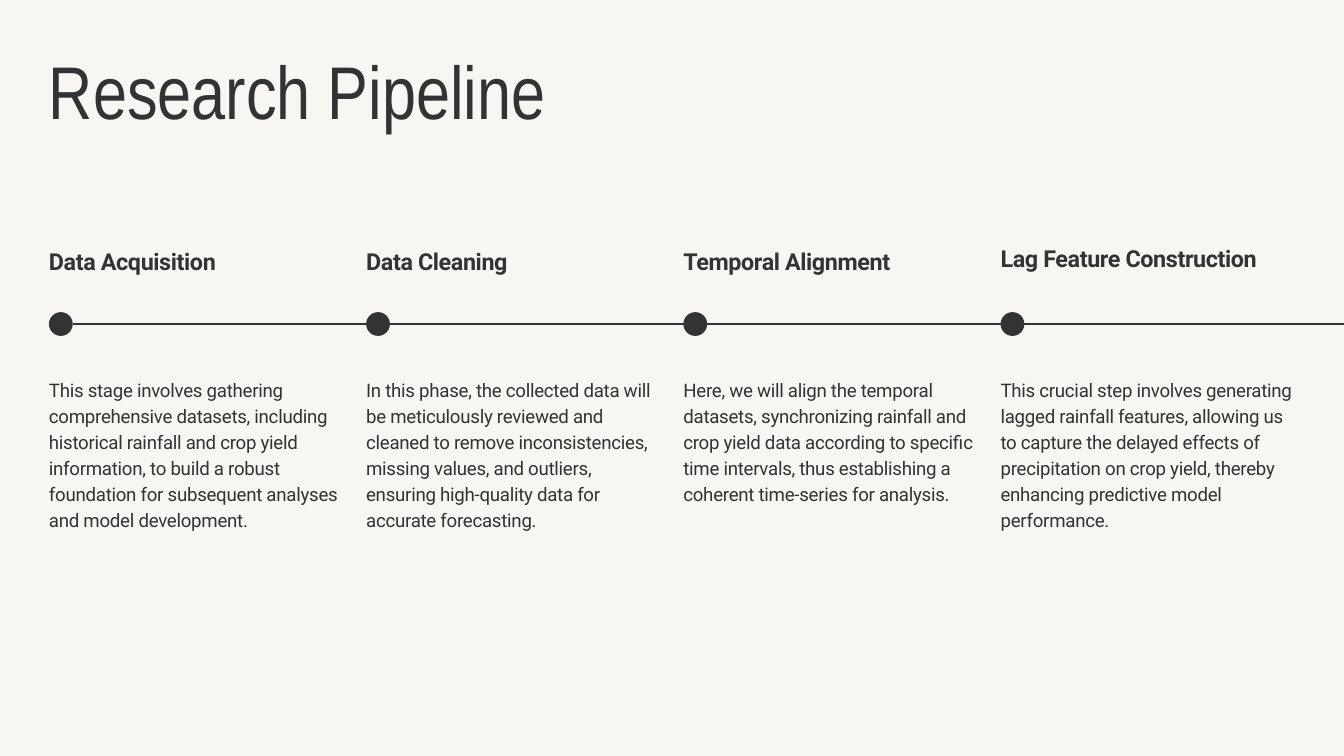
from lxml.etree import SubElement
from pptx import Presentation
from pptx.dml.color import RGBColor
from pptx.enum.shapes import MSO_CONNECTOR as Connector, MSO_SHAPE as Shape
from pptx.enum.text import MSO_AUTO_SIZE as AutoSize
from pptx.oxml.ns import qn
from pptx.util import Cm, Pt

INK = RGBColor(0x33, 0x33, 0x33)
PAPER = RGBColor(0xF7, 0xF6, 0xF3)

SLIDE_WIDTH, SLIDE_HEIGHT = 50.8, 28.58
MARGIN = 1.85
COLUMN_STEP, COLUMN_WIDTH = 11.99, 11.13
LINE_Y = 12.25
DOT_SIZE = 0.9
HEADING_TOP, BODY_TOP = 9.35, 14.17

# heading, vertical shift of the heading, description
STAGES = [
    ("Data Acquisition", 0,
     "This stage involves gathering comprehensive datasets, including historical "
     "rainfall and crop yield information, to build a robust foundation for "
     "subsequent analyses and model development."),
    ("Data Cleaning", 0,
     "In this phase, the collected data will be meticulously reviewed and cleaned "
     "to remove inconsistencies, missing values, and outliers, ensuring "
     "high-quality data for accurate forecasting."),
    ("Temporal Alignment", 0,
     "Here, we will align the temporal datasets, synchronizing rainfall and crop "
     "yield data according to specific time intervals, thus establishing a "
     "coherent time-series for analysis."),
    ("Lag Feature Construction", -0.13,
     "This crucial step involves generating lagged rainfall features, allowing us "
     "to capture the delayed effects of precipitation on crop yield, thereby "
     "enhancing predictive model performance."),
]


class TimelineSlide:
    def __init__(self, page):
        self.page = page
        self.shapes = page.shapes
        fill = page.background.fill
        fill.solid()
        fill.fore_color.rgb = PAPER

    def text(self, words, left, top, width, height, size, leading,
             font="Roboto", bold=False, spacing=0):
        """Add a text box; spacing is in hundredths of a point."""
        box = self.shapes.add_textbox(Cm(left), Cm(top), Cm(width), Cm(height))
        frame = box.text_frame
        frame.word_wrap = True
        frame.auto_size = AutoSize.SHAPE_TO_FIT_TEXT
        frame.margin_left = frame.margin_right = 0
        frame.margin_top = frame.margin_bottom = 0
        frame.text = words
        para = frame.paragraphs[0]
        para.line_spacing = Pt(leading)
        span = para.runs[0]
        span.font.name = font
        span.font.size = Pt(size)
        span.font.bold = bold
        span.font.color.rgb = INK
        if spacing:
            span._r.get_or_add_rPr().set("spc", str(spacing))

    def line(self, left, right, y):
        line = self.shapes.add_connector(
            Connector.STRAIGHT, Cm(left), Cm(y), Cm(right), Cm(y))
        line.line.color.rgb = INK
        line.line.width = Pt(1.5)
        SubElement(line.element.spPr, qn("a:effectLst"))

    def dot(self, left, middle):
        dot = self.shapes.add_shape(
            Shape.OVAL, Cm(left), Cm(middle - DOT_SIZE / 2), Cm(DOT_SIZE), Cm(DOT_SIZE))
        dot.shadow.inherit = False
        dot.fill.solid()
        dot.fill.fore_color.rgb = INK
        dot.line.fill.background()


def main():
    deck = Presentation()
    deck.slide_width, deck.slide_height = Cm(SLIDE_WIDTH), Cm(SLIDE_HEIGHT)
    slide = TimelineSlide(deck.slides.add_slide(deck.slide_layouts[6]))

    slide.text("Research Pipeline", MARGIN, 2.26, SLIDE_WIDTH - 2 * MARGIN, 2.97,
               size=80, leading=80, font="Arial Narrow")
    slide.line(MARGIN + DOT_SIZE, SLIDE_WIDTH, LINE_Y)
    for index, (heading, shift, description) in enumerate(STAGES):
        left = MARGIN + index * COLUMN_STEP
        slide.text(heading, left, HEADING_TOP + shift, COLUMN_WIDTH, 1.09,
                   size=25, leading=30, bold=True, spacing=-40)
        slide.dot(left, LINE_Y)
        slide.text(description, left, BODY_TOP, COLUMN_WIDTH, 5.84,
                   size=20, leading=28, spacing=-30)

    deck.save("out.pptx")


if __name__ == "__main__":
    main()
